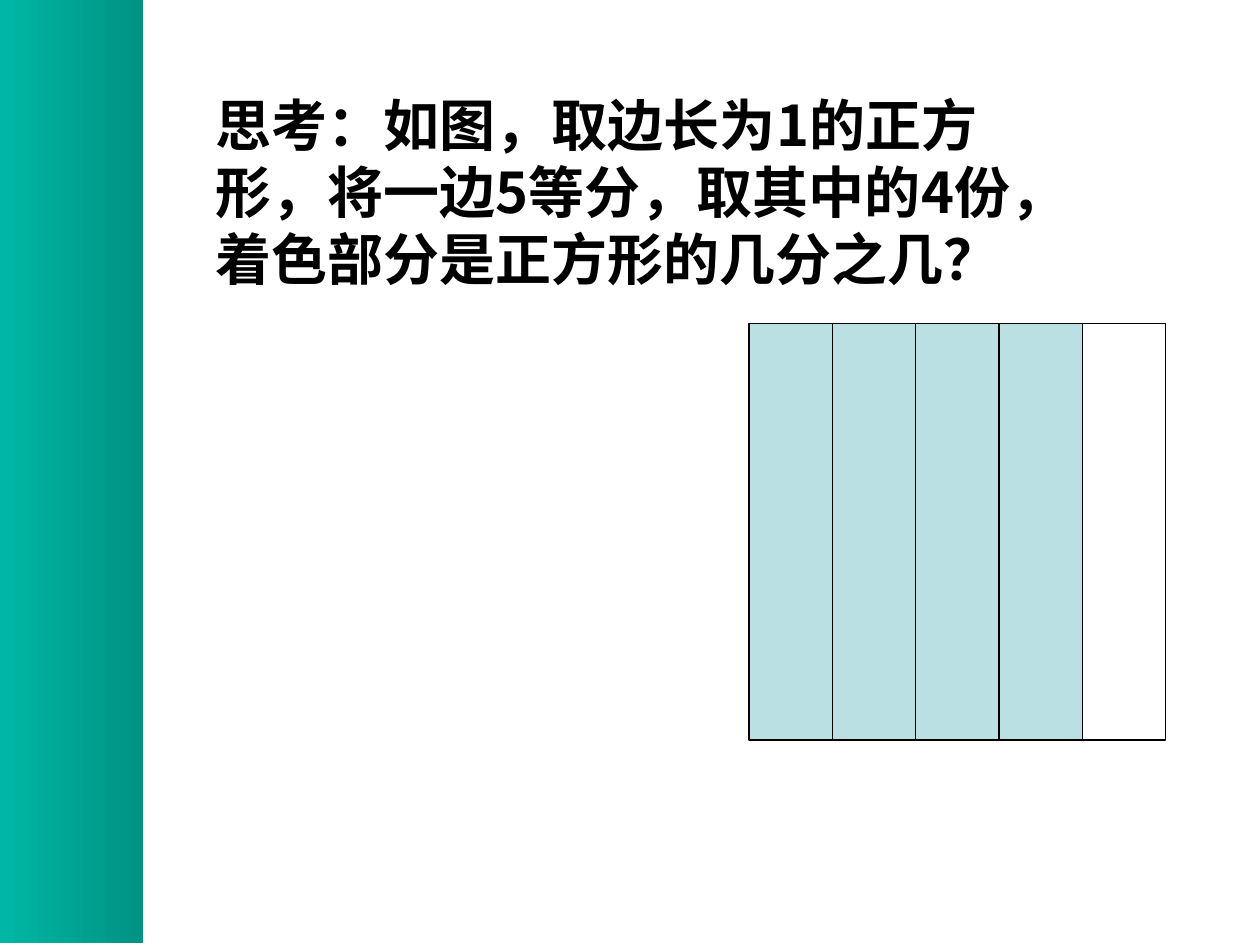
from lxml.etree import SubElement
from pptx import Presentation
from pptx.dml.color import RGBColor
from pptx.enum.shapes import MSO_SHAPE
from pptx.enum.text import MSO_ANCHOR, MSO_AUTO_SIZE
from pptx.oxml.ns import qn
from pptx.util import Pt

QUESTION = "思考：如图，取边长为1的正方形，将一边5等分，取其中的4份，着色部分是正方形的几分之几？"
PARTS, COLOURED = 5, 4
SQUARE_LEFT, SQUARE_TOP, SQUARE_SIDE = 428, 185, 238
FONT = "Noto Sans CJK SC"

BLACK = RGBColor(0x00, 0x00, 0x00)
WHITE = RGBColor(0xFF, 0xFF, 0xFF)
PALE_BLUE = RGBColor(0xBB, 0xE0, 0xE3)
TEAL = RGBColor(0x00, 0xB7, 0xA5)
DARK_TEAL = RGBColor(0x00, 0x92, 0x84)


def add_rect(s, left, top, width, height):
    sp = s.shapes.add_shape(
        MSO_SHAPE.RECTANGLE, Pt(left), Pt(top), Pt(width), Pt(height))
    sp.shadow.inherit = False
    return sp


def add_side_band(s):
    sp = add_rect(s, 0, 0, 82, 539)
    sp.line.fill.background()
    sp.fill.gradient()
    sp.fill.gradient_angle = 0
    for stop, position, colour in zip(
            sp.fill.gradient_stops, (0, 1), (TEAL, DARK_TEAL)):
        stop.position = position
        stop.color.rgb = colour


def add_question(s):
    tf = s.shapes.add_textbox(Pt(116), Pt(48), Pt(510.5), Pt(122.4)).text_frame
    tf.word_wrap = True
    tf.auto_size = MSO_AUTO_SIZE.SHAPE_TO_FIT_TEXT
    tf.vertical_anchor = MSO_ANCHOR.MIDDLE
    tf.text = QUESTION
    p = tf.paragraphs[0]
    p.line_spacing = Pt(38.4)
    p._p.get_or_add_pPr().set("hangingPunct", "0")
    r = p.runs[0]
    r.font.size = Pt(32)
    r.font.bold = True
    r.font.color.rgb = BLACK
    r.font.name = FONT
    SubElement(r.font._element, qn("a:ea"), typeface=FONT)


def add_divided_square(s):
    width = SQUARE_SIDE / PARTS
    for i in range(PARTS):
        sp = add_rect(s, SQUARE_LEFT + i * width, SQUARE_TOP, width, SQUARE_SIDE)
        sp.fill.solid()
        sp.fill.fore_color.rgb = PALE_BLUE if i < COLOURED else WHITE
        sp.line.color.rgb = BLACK
        sp.line.width = Pt(0.75)


def main():
    prs = Presentation()
    prs.slide_width, prs.slide_height = Pt(720), Pt(540)
    s = prs.slides.add_slide(prs.slide_layouts[6])
    add_side_band(s)
    add_question(s)
    add_divided_square(s)
    prs.save("out.pptx")


if __name__ == "__main__":
    main()
